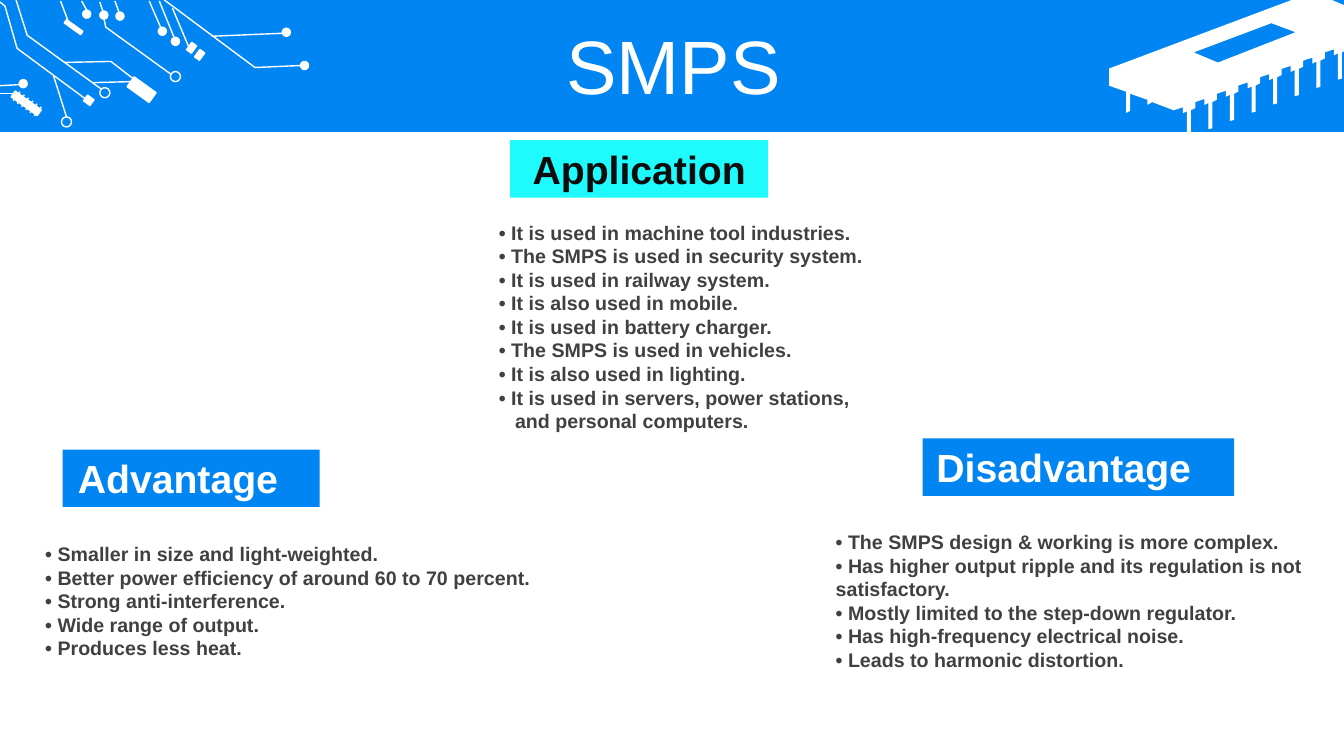
from typing import NamedTuple

from lxml import etree
from pptx import Presentation, util as u
from pptx.dml.color import RGBColor
from pptx.enum import shapes, text
from pptx.oxml import ns

BLUE = RGBColor(0x00, 0x85, 0xF2)
CYAN = RGBColor(0x1F, 0xFB, 0xFD)
WHITE = RGBColor(0xFF, 0xFF, 0xFF)
BLACK = RGBColor(0x0D, 0x0D, 0x0D)
GRAY = RGBColor(0x40, 0x40, 0x40)
FONT = "Arial"
TILT = 35.7
RECTANGLE = shapes.MSO_SHAPE.RECTANGLE
OVAL = shapes.MSO_SHAPE.OVAL

Point = tuple[float, float]


class Box(NamedTuple):
    left: float
    top: float
    width: float
    height: float

    def lengths(self) -> list[u.Length]:
        return [u.Inches(value) for value in self]


class Style(NamedTuple):
    size: float
    color: RGBColor
    bold: bool = True


class Heading(NamedTuple):
    label: str
    plate: Box
    label_box: Box


class BulletList(NamedTuple):
    box: Box
    items: list[str]
    continuation: str = ""


TITLE = Style(54, WHITE, False)
HEADING = Style(28, WHITE)
BODY = Style(14, GRAY)

COMPONENTS = [
    Box(1.27, 0.83, 0.27, 0.12),
    Box(0.63, 0.25, 0.2, 0.04),
    Box(0.84, 0.96, 0.08, 0.07),
    Box(1.87, 0.43, 0.06, 0.09),
    Box(1.95, 0.5, 0.06, 0.09),
    Box(0.1, 0.99, 0.32, 0.07),
]
PADS = [(2.98, 0.61), (2.8, 0.28), (0.82, 0.1), (0.99, 0.11), (1.15, 0.12),
        (0.19, 0.79), (1.7, 0.37), (1.57, 0.27)]
RINGS = [(1.69, 0.71), (0.99, 0.87), (0.61, 1.16)]
WIRES = [
    ((0.6, 0.01), (0.68, 0.22)),
    ((0.81, 0.01), (0.86, 0.1)),
    ((0.99, 0.02), (1.02, 0.11)),
    ((1.14, 0.01), (1.18, 0.12)),
    ((1.48, 0.01), (1.61, 0.31)),
    ((1.58, 0.01), (1.73, 0.38)),
    ((2.1, 0.36), (2.8, 0.33)),
    ((1.71, 0.08), (1.87, 0.46)),
    ((0, 0.85), (0.19, 0.84)),
    ((0, 0.93), (0.14, 0.93)),
    ((0.53, 0.75), (0.66, 1.16)),
    ((0.92, 0.82), (1.3, 0.81)),
]
COIL_TURNS = [((0.13 + 0.042 * turn, 1 + 0.03 * turn),
               (0.2 + 0.042 * turn, 0.91 + 0.03 * turn)) for turn in range(6)]
TRACES = [
    [(1.63, 0), (2.53, 0.67), (2.99, 0.65)],
    [(0.16, 0), (0.27, 0.35), (1, 0.88)],
    [(0, 0.02), (0.05, 0.06), (0.17, 0.48), (0.86, 0.99)],
    [(0.64, 0.62), (1.1, 0.61), (1.32, 0.78)],
    [(1.03, 0.18), (1.05, 0.27), (1.7, 0.74)],
]

CHIP_WINDOW = [(12.61, 0.23), (11.84, 0.52), (12.08, 0.62), (12.85, 0.32)]
CHIP_TOP = [(11, 0.68), (12.81, 0), (13.21, 0), (13.33, 0.05), (13.33, 0.51)]
CHIP_PIN = [(13.31, 0.52), (13.31, 0.78), (13.27, 0.79), (13.27, 0.53),
            (13.23, 0.55), (13.23, 0.49), (13.14, 0.52), (13.14, 0.58)]
CHIP_FRONT = [(11.42, 1.01), (11.42, 1.02), (11.38, 1.04), (11.38, 0.99), (11.21, 0.93),
              (11.21, 1.1), (11.17, 1.12), (11.17, 0.91), (11, 0.85)]
PIN_COUNT = 8
PIN_STEP = (-0.214, 0.082)

HEADINGS = [
    Heading("Advantage", Box(0.62, 4.46, 2.55, 0.57), Box(0.35, 4.46, 2.83, 0.57)),
    Heading("Disadvantage", Box(9.15, 4.35, 3.09, 0.57), Box(8.88, 4.35, 3.34, 0.57)),
]
LISTS = [
    BulletList(Box(0.35, 5.33, 5.85, 1.28), [
        "Smaller in size and light-weighted.",
        "Better power efficiency of around 60 to 70 percent.",
        "Strong anti-interference.",
        "Wide range of output.",
        "Produces less heat.",
    ]),
    BulletList(Box(8.19, 5.21, 5.85, 1.51), [
        "The SMPS design & working is more complex.",
        "Has higher output ripple and its regulation is not satisfactory.",
        "Mostly limited to the step-down regulator.",
        "Has high-frequency electrical noise.",
        "Leads to harmonic distortion.",
    ]),
    BulletList(Box(4.85, 2.14, 5.85, 2.22), [
        "It is used in machine tool industries.",
        "The SMPS is used in security system.",
        "It is used in railway system.",
        "It is also used in mobile.",
        "It is used in battery charger.",
        "The SMPS is used in vehicles.",
        "It is also used in lighting.",
        "It is used in servers, power stations,",
    ], "and personal computers."),
]


def paint(shape, fill: RGBColor | None, line: RGBColor | None = None) -> None:
    shape.shadow.inherit = False
    if fill is None:
        shape.fill.background()
    else:
        shape.fill.solid()
        shape.fill.fore_color.rgb = fill
    if line is None:
        shape.line.fill.background()
    else:
        shape.line.color.rgb = line
        shape.line.width = u.Pt(1)


def add_preset(slide, preset, box: Box, fill: RGBColor | None,
               line: RGBColor | None = None, rotation: float = 0):
    shape = slide.shapes.add_shape(preset, *box.lengths())
    shape.rotation = rotation
    paint(shape, fill, line)
    return shape


def add_wire(slide, start: Point, end: Point) -> None:
    ends = [u.Inches(value) for value in (*start, *end)]
    wire = slide.shapes.add_connector(shapes.MSO_CONNECTOR.STRAIGHT, *ends)
    wire.line.color.rgb = WHITE
    wire.line.width = u.Pt(1)
    etree.SubElement(wire._element.spPr, ns.qn("a:effectLst"))


def add_outline(slide, contours: list[list[Point]], closed: bool):
    scaled = [[(u.Inches(x), u.Inches(y)) for x, y in contour] for contour in contours]
    builder = slide.shapes.build_freeform(*scaled[0][0])
    for index, contour in enumerate(scaled):
        if index:
            builder.move_to(*contour[0])
        builder.add_line_segments(contour[1:], close=closed)
    return builder.convert_to_shape()


def format_text(text_frame, style: Style, alignment) -> None:
    for paragraph in text_frame.paragraphs:
        paragraph.alignment = alignment
        for run in paragraph.runs:
            run.font.name = FONT
            run.font.size = u.Pt(style.size)
            run.font.bold = style.bold
            run.font.color.rgb = style.color


def add_text(slide, box: Box, content: str, style: Style,
             alignment=text.PP_ALIGN.CENTER, wrap: bool = True):
    text_frame = slide.shapes.add_textbox(*box.lengths()).text_frame
    text_frame.word_wrap = wrap
    text_frame.text = content
    format_text(text_frame, style, alignment)
    return text_frame


def add_list(slide, bullet_list: BulletList) -> None:
    lines = [f"• {item}" for item in bullet_list.items]
    if bullet_list.continuation:
        lines.append(bullet_list.continuation)
    text_frame = add_text(slide, bullet_list.box, "\n".join(lines), BODY, text.PP_ALIGN.LEFT)
    if bullet_list.continuation:
        properties = text_frame.paragraphs[-1]._p.get_or_add_pPr()
        properties.set("marL", str(u.Inches(0.16)))


def add_chip(slide) -> None:
    pins = [(x + PIN_STEP[0] * pin, y + PIN_STEP[1] * pin)
            for pin in range(PIN_COUNT) for x, y in CHIP_PIN][:-1]
    paint(add_outline(slide, [CHIP_WINDOW, CHIP_TOP + pins + CHIP_FRONT], True), WHITE)


def add_circuit(slide) -> None:
    for box in COMPONENTS:
        add_preset(slide, RECTANGLE, box, WHITE, WHITE, TILT)
    for left, top in PADS:
        add_preset(slide, OVAL, Box(left, top, 0.08, 0.08), WHITE, WHITE, TILT)
    for left, top in RINGS:
        add_preset(slide, OVAL, Box(left, top, 0.1, 0.1), None, WHITE, TILT)
    for start, end in WIRES + COIL_TURNS:
        add_wire(slide, start, end)
    for trace in TRACES:
        paint(add_outline(slide, [trace], False), None, WHITE)


def main() -> None:
    presentation = Presentation()
    presentation.slide_width = u.Inches(13.33)
    presentation.slide_height = u.Inches(7.5)
    slide = presentation.slides.add_slide(presentation.slide_layouts[6])

    add_preset(slide, RECTANGLE, Box(0, 0, 13.33, 1.31), BLUE)
    add_chip(slide)
    add_circuit(slide)

    title = add_text(slide, Box(0.35, 0.3, 12.66, 0.79), "SMPS", TITLE)
    title.vertical_anchor = text.MSO_ANCHOR.MIDDLE
    title.paragraphs[0].line_spacing = 0.9
    title.paragraphs[0].space_before = u.Pt(10)

    application = add_preset(slide, RECTANGLE, Box(5.06, 1.39, 2.56, 0.57), CYAN)
    application.text_frame.text = "Application"
    format_text(application.text_frame, HEADING._replace(color=BLACK), text.PP_ALIGN.CENTER)

    for heading in HEADINGS:
        add_preset(slide, RECTANGLE, heading.plate, BLUE)
        add_text(slide, heading.label_box, heading.label, HEADING, wrap=False)
    for bullet_list in LISTS:
        add_list(slide, bullet_list)

    presentation.save("out.pptx")


if __name__ == "__main__":
    main()
